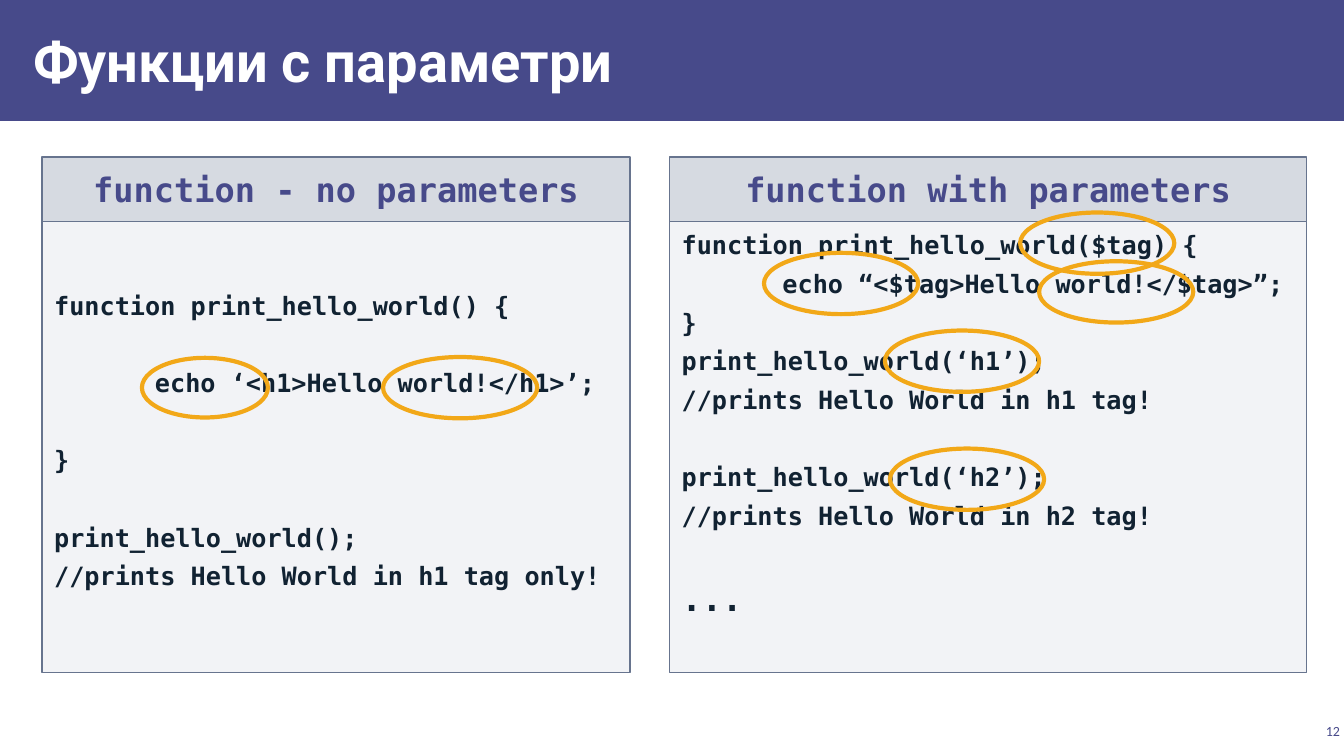
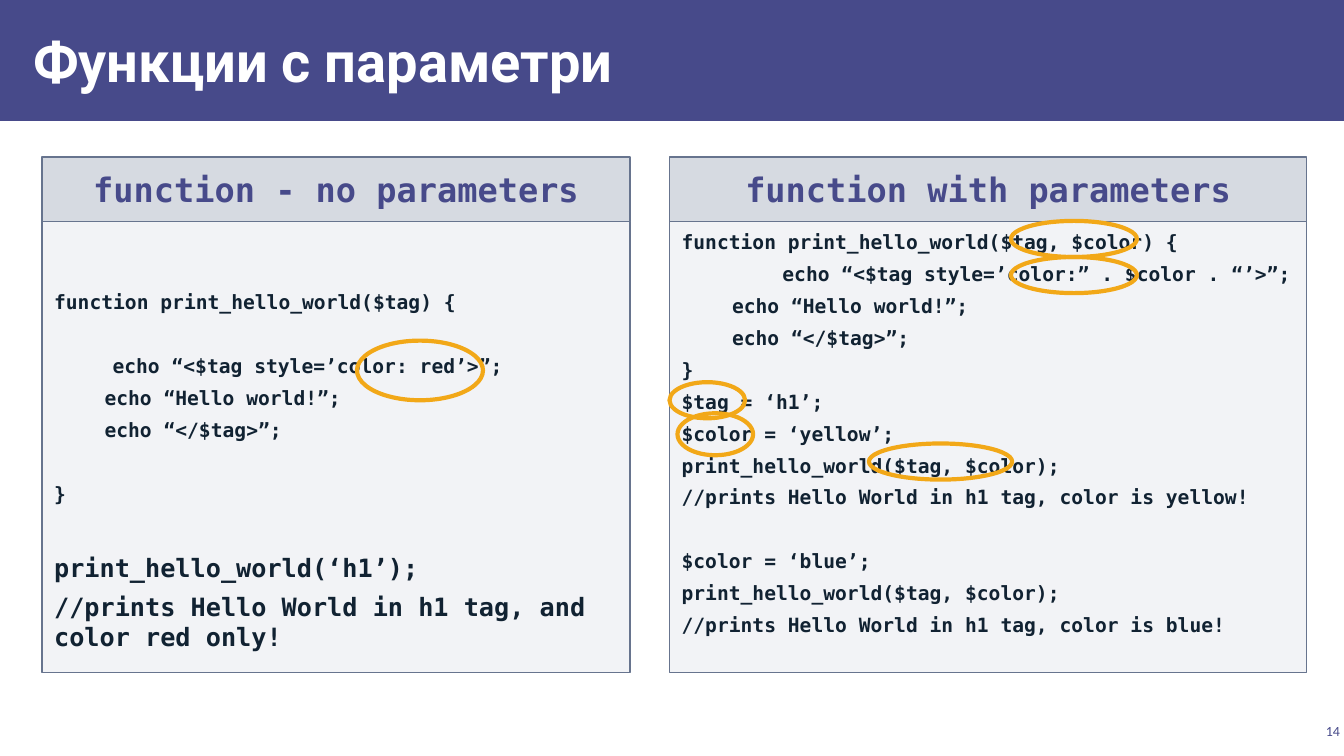
import pptx
import pptx.dml.color
import pptx.enum.shapes
import pptx.enum.text
import pptx.oxml
import pptx.oxml.ns
import pptx.util

WIDTH, HEIGHT = 13.33, 7.5
COLS, ROWS = 32, 18
BAND, TEXT, PANEL, EDGE, RING, WHITE = (
    "474A8A", "112232", "ACB4C3", "67748E", "F2A818", "FFFFFF")
MONO = "DejaVu Sans Mono"
SHAPE = pptx.enum.shapes.MSO_SHAPE
ALIGN = pptx.enum.text.PP_ALIGN
ANCHOR = pptx.enum.text.MSO_ANCHOR

TITLE = dict(size=40, name="Roboto", color=WHITE, bold=True)
NUMBER = dict(size=10, name="Calibri", color=BAND)
HEADER = dict(size=24, name=MONO, color=BAND, bold=True)
CODE = dict(name=MONO, color=TEXT, bold=True)

PANELS = [(1, 14, "function - no parameters"),
          (15.94, 15.17, "function with parameters")]
HEADER_TOP, HEADER_ROWS, BODY_ROWS = 3.74, 1.54, 10.73
LEFT_START = 0.68
RIGHT_START = 0.08
LINE_RATIO, GAP, BLANK_SIZE = 1.2, 6, 18


def rgb(value):
    return pptx.dml.color.RGBColor.from_string(value)


def grid(left, top, width, height):
    col, row = WIDTH / COLS, HEIGHT / ROWS
    return [pptx.util.Inches(n) for n in
            (left * col, top * row, width * col, height * row)]


def add_box(slide, kind, cell, fill=None, alpha=None, line=None, weight=1):
    sp = slide.shapes.add_shape(kind, *grid(*cell))
    sp.shadow.inherit = False
    if fill:
        sp.fill.solid()
        sp.fill.fore_color.rgb = rgb(fill)
    else:
        sp.fill.background()
    if alpha:
        color = sp.fill._xPr.find(".//" + pptx.oxml.ns.qn("a:srgbClr"))
        opacity = pptx.oxml.parse_xml(
            f'<a:alpha {pptx.oxml.ns.nsdecls("a")} val="{alpha * 1000}"/>')
        color.append(opacity)
    if line:
        sp.line.color.rgb = rgb(line)
        sp.line.width = pptx.util.Pt(weight)
    else:
        sp.line.fill.background()
    return sp


def set_frame(sp, left, top, right, bottom, anchor=ANCHOR.TOP):
    tf = sp.text_frame
    values = dict(margin_left=left, margin_top=top, margin_right=right,
                  margin_bottom=bottom)
    for key, value in values.items():
        setattr(tf, key, pptx.util.Inches(value))
    tf.word_wrap = True
    tf.vertical_anchor = anchor
    return tf


def add_run(p, text, size, color, **values):
    r = p.add_run()
    r.text = text
    r.font.size = pptx.util.Pt(size)
    r.font.color.rgb = rgb(color)
    for key, value in values.items():
        setattr(r.font, key, value)


def add_label(sp, text, style, insets, align, anchor=ANCHOR.TOP):
    p = set_frame(sp, *insets, anchor).paragraphs[0]
    p.alignment = align
    add_run(p, text, **style)


def add_code(sp, lines, size, start):
    tf = set_frame(sp, 0.12, start, 0.12, 0.08)
    for i, (text, blanks, indent, *own_size) in enumerate(lines):
        p = tf.add_paragraph() if i else tf.paragraphs[0]
        pt = own_size[0] if own_size else size
        blank = min(pt, BLANK_SIZE) * LINE_RATIO + GAP
        values = dict(alignment=ALIGN.LEFT,
                      line_spacing=pptx.util.Pt(pt * LINE_RATIO),
                      space_before=pptx.util.Pt(GAP + blanks * blank if i else 0))
        for key, value in values.items():
            setattr(p, key, value)
        if indent:
            pPr = p._p.get_or_add_pPr()
            pPr.set("marL", str(pptx.util.Inches(indent)))
            pPr.set("indent", "0")
        add_run(p, text, pt, **CODE)


def add_panel(slide, panel, lines, size, start):
    left, width, heading = panel
    body = add_box(slide, SHAPE.RECTANGLE,
                   (left, HEADER_TOP + HEADER_ROWS, width, BODY_ROWS),
                   PANEL, 15, EDGE)
    add_code(body, lines, size, start)
    header = add_box(slide, SHAPE.RECTANGLE,
                     (left, HEADER_TOP, width, HEADER_ROWS), PANEL, 49, EDGE)
    add_label(header, heading, HEADER, [0.12] * 4, ALIGN.CENTER)


def add_base(prs, title, number):
    slide = prs.slides.add_slide(prs.slide_layouts[6])
    add_box(slide, SHAPE.RECTANGLE, (0, 0, COLS, 2.88), BAND)
    sp = slide.shapes.add_textbox(*grid(0.5, 0.26, 25, 2.33))
    add_label(sp, title, TITLE, (0.12, 0.04, 0.12, 0.04), ALIGN.LEFT, ANCHOR.MIDDLE)
    sp = slide.shapes.add_textbox(*grid(30.87, 17.14, 1.13, 0.53))
    add_label(sp, number, NUMBER, [0.04] * 4, ALIGN.RIGHT, ANCHOR.MIDDLE)
    return slide


def add_comparison(prs, number, size, left_code, right_code, rings):
    slide = add_base(prs, "Функции с параметри", number)
    add_panel(slide, PANELS[0], left_code, size, LEFT_START)
    add_panel(slide, PANELS[1], right_code, size, RIGHT_START)
    for cell in rings:
        add_box(slide, SHAPE.OVAL, cell, line=RING, weight=3)


def main():
    prs = pptx.Presentation()
    prs.slide_width = pptx.util.Inches(WIDTH)
    prs.slide_height = pptx.util.Inches(HEIGHT)

    wide = (3.67, 1.46)
    add_comparison(
        prs, "12", 18,
        [("function print_hello_world() {", 0, 0),
         ("echo ‘<h1>Hello world!</h1>’;", 1, 1),
         ("}", 1, 0),
         ("print_hello_world();", 1, 0),
         ("//prints Hello World in h1 tag only!", 0, 0)],
        [("function print_hello_world($tag) {", 0, 0),
         ("echo “<$tag>Hello world!</$tag>”;", 0, 1),
         ("}", 0, 0),
         ("print_hello_world(‘h1’);", 0, 0),
         ("//prints Hello World in h1 tag!", 0, 0),
         ("print_hello_world(‘h2’);", 1, 0),
         ("//prints Hello World in h2 tag!", 0, 0),
         ("...", 1, 0, 24)],
        [(3.38, 8.52, 3, 1.42), (9.12, 8.5, *wide), (24.29, 5.06, *wide),
         (18.19, 6.02, *wide), (24.74, 6.22, *wide), (21.07, 7.87, *wide),
         (21.19, 10.68, *wide)])

    add_comparison(
        prs, "14", 14,
        [("function print_hello_world($tag) {", 0, 0),
         ("echo “<$tag style=’color: red’>”;", 1, 0.58),
         ("echo “Hello world!”;", 0, 0.5),
         ("echo “</$tag>”;", 0, 0.5),
         ("}", 1, 0),
         ("print_hello_world(‘h1’);", 1, 0, 18),
         ("//prints Hello World in h1 tag, and color red only!", 0, 0, 18)],
        [("function print_hello_world($tag, $color) {", 0, 0),
         ("echo “<$tag style=’color:” . $color . “’>”;", 0, 1),
         ("echo “Hello world!”;", 0, 0.5),
         ("echo “</$tag>”;", 0, 0.5),
         ("}", 0, 0),
         ("$tag = ‘h1’;", 0, 0),
         ("$color = ‘yellow’;", 0, 0),
         ("print_hello_world($tag, $color);", 0, 0),
         ("//prints Hello World in h1 tag, color is yellow!", 0, 0),
         ("$color = ‘blue’;", 1, 0),
         ("print_hello_world($tag, $color);", 0, 0),
         ("//prints Hello World in h1 tag, color is blue!", 0, 0)],
        [(8.5, 8.11, 3, 1.42), (24.07, 5.26, 3, 0.86), (24.07, 6.12, 3, 0.86),
         (15.94, 9.1, 1.8, 0.86), (16.13, 9.84, 1.8, 1),
         (20.69, 10.56, 3.41, 0.86)])

    prs.save("out.pptx")


if __name__ == "__main__":
    main()
